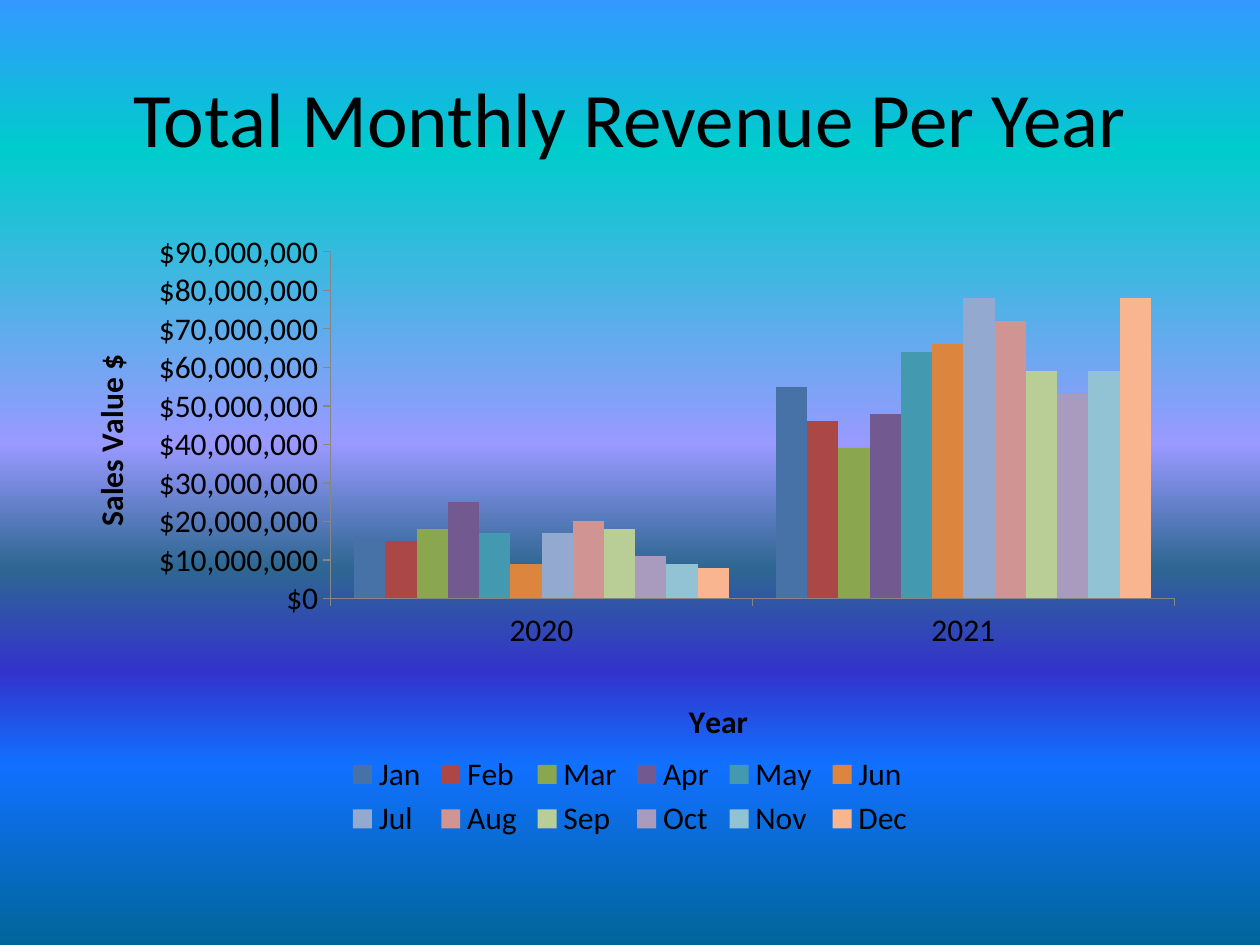
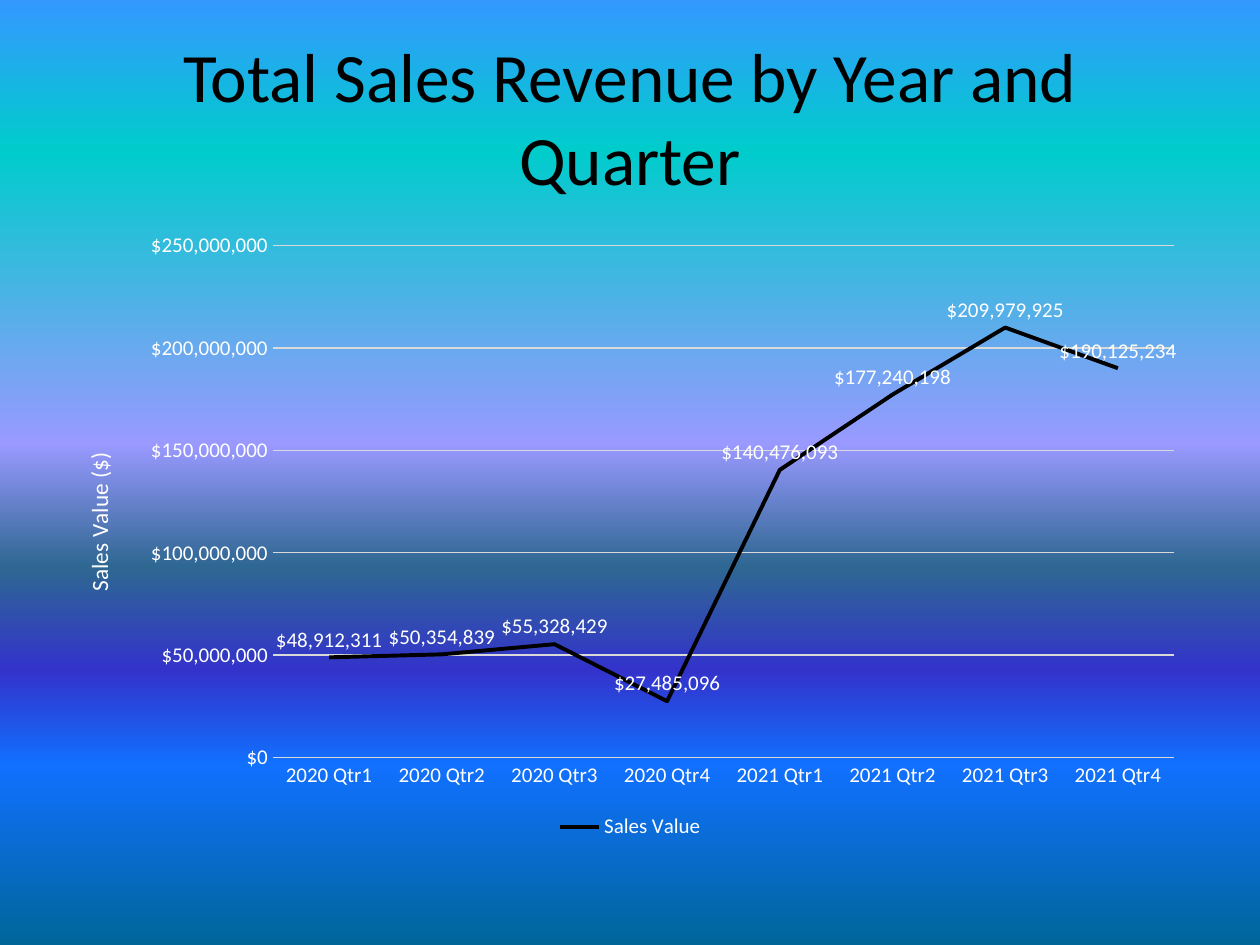
from dataclasses import dataclass

from lxml.etree import SubElement
from pptx import Presentation
from pptx.chart.axis import ValueAxis
from pptx.chart.chart import Chart
from pptx.chart.data import CategoryChartData as ChartData
from pptx.dml.color import RGBColor
from pptx.enum.chart import XL_CHART_TYPE as ChartType
from pptx.enum.chart import XL_LABEL_POSITION as LabelPosition
from pptx.enum.chart import XL_LEGEND_POSITION as LegendPosition
from pptx.enum.chart import XL_MARKER_STYLE as MarkerStyle
from pptx.enum.chart import XL_TICK_MARK as TickMark
from pptx.enum.text import MSO_ANCHOR as Anchor
from pptx.enum.text import PP_ALIGN as Align
from pptx.oxml.ns import qn
from pptx.slide import Slide
from pptx.util import Cm, Pt

FONT = "Calibri"
BLACK, WHITE = "000000", "FFFFFF"
LEFT, WIDTH = Cm(1.27), Cm(22.86)
MILLION = 1_000_000
BACKGROUND_STOPS = {0: "3399FF", 16: "00CCCC", 47: "9999FF", 60: "2E6792",
                    71: "3333CC", 81: "1170FF", 100: "006699"}


@dataclass
class Series:
    name: str
    values: tuple[int, ...]
    color: str


@dataclass
class AxisTitle:
    text: str
    x: float
    y: float
    size: float
    bold: bool = False
    vertical: bool = False


@dataclass
class ChartPage:
    title: str
    title_size: float
    kind: ChartType
    categories: list[str]
    series: list[Series]
    text_size: float
    text_color: str
    line_color: str
    tick_mark: TickMark
    number_format: str
    maximum: int
    major_unit: int
    plot_area: tuple[float, float, float, float]
    value_title: AxisTitle
    category_title: AxisTitle | None = None


MONTHS = [
    Series("Jan", (16, 55), "4672A8"),
    Series("Feb", (15, 46), "AB4744"),
    Series("Mar", (18, 39), "8AA64F"),
    Series("Apr", (25, 48), "725990"),
    Series("May", (17, 64), "4299B0"),
    Series("Jun", (9, 66), "DC853E"),
    Series("Jul", (17, 78), "93A9CF"),
    Series("Aug", (20, 72), "D09493"),
    Series("Sep", (18, 59), "B9CD96"),
    Series("Oct", (11, 53), "A99BBD"),
    Series("Nov", (9, 59), "91C3D5"),
    Series("Dec", (8, 78), "F9B590"),
]

PAGES = [
    ChartPage(
        "Total Monthly Revenue Per Year", 44, ChartType.COLUMN_CLUSTERED,
        ["2020", "2021"],
        [Series(month.name, tuple(value * MILLION for value in month.values), month.color)
         for month in MONTHS],
        18, BLACK, "868686", TickMark.OUTSIDE, '"$"#,##0', 90 * MILLION, 10 * MILLION,
        (23.6, 5, 74.4, 55.6),
        AxisTitle("Sales Value $", 1.8, 20.6, 18, bold=True, vertical=True),
        AxisTitle("Year", 54.7, 75.9, 18, bold=True),
    ),
    ChartPage(
        "Total Sales Revenue by Year and Quarter", 39.6, ChartType.LINE,
        [f"{year} Qtr{quarter}" for year in (2020, 2021) for quarter in range(1, 5)],
        [Series("Sales Value", (48912311, 50354839, 55328429, 27485096,
                                140476093, 177240198, 209979925, 190125234), BLACK)],
        12, WHITE, "D9D9D9", TickMark.NONE, "[$$-409]#,##0", 250 * MILLION, 50 * MILLION,
        (18.5, 4, 79.5, 82.1),
        AxisTitle("Sales Value ($)", 1.4, 36.4, 13.3, vertical=True),
    ),
]


def rgb(color: str) -> RGBColor:
    """Turn a hex string into a colour."""
    return RGBColor.from_string(color)


def style_font(font, size: float, color: str, bold: bool = False) -> None:
    """Set face, size, colour and weight of a font."""
    font.name, font.size, font.bold = FONT, Pt(size), bold
    font.color.rgb = rgb(color)


def style_line(line, color: str, width: float = 0.75) -> None:
    """Set colour and width of a line."""
    line.color.rgb = rgb(color)
    line.width = Pt(width)


def paint_background(presentation: Presentation) -> None:
    """Give the slide master the gradient that every slide shows."""
    master = presentation.slide_master
    fill = master.background.fill
    fill.gradient()
    fill.gradient_angle = 270
    stops = master.element.find(".//" + qn("p:bg")).find(".//" + qn("a:gsLst"))
    for stop in list(stops):
        stops.remove(stop)
    for position, color in BACKGROUND_STOPS.items():
        stop = SubElement(stops, qn("a:gs"), pos=str(position * 1000))
        SubElement(stop, qn("a:srgbClr"), val=color)


def place(element, index: int, *percents: float) -> None:
    """Fix a chart part at percentages of the chart's size."""
    for old in element.findall(qn("c:layout")):
        element.remove(old)
    layout = SubElement(element, qn("c:layout"))
    element.insert(index, layout)
    manual = SubElement(layout, qn("c:manualLayout"))
    if element.tag == qn("c:plotArea"):
        SubElement(manual, qn("c:layoutTarget"), val="inner")
    for side in "xy":
        SubElement(manual, qn(f"c:{side}Mode"), val="edge")
    for side, percent in zip("xywh", percents):
        SubElement(manual, qn(f"c:{side}"), val=f"{percent / 100:.4f}")


def add_title(slide: Slide, text: str, size: float) -> None:
    """Add the centred slide title."""
    frame = slide.shapes.add_textbox(LEFT, Cm(0.76), WIDTH, Cm(3.18)).text_frame
    frame.word_wrap = True
    frame.vertical_anchor = Anchor.MIDDLE
    paragraph = frame.paragraphs[0]
    paragraph.alignment = Align.CENTER
    run = paragraph.add_run()
    run.text = text
    style_font(run.font, size, BLACK)


def add_axis_title(axis, title: AxisTitle, color: str) -> None:
    """Write and place the title of an axis."""
    frame = axis.axis_title.text_frame
    run = frame.paragraphs[0].add_run()
    run.text = title.text
    style_font(run.font, title.size, color, title.bold)
    element = axis.axis_title.element
    if title.vertical:
        body = element.find(".//" + qn("a:bodyPr"))
        body.set("rot", "-5400000")
        body.set("vert", "horz")
    place(element, 1, title.x, title.y)


def style_value_axis(axis: ValueAxis, page: ChartPage) -> None:
    """Set scale, number format and lines of the value axis."""
    axis.minimum_scale, axis.maximum_scale = 0, page.maximum
    axis.major_unit = page.major_unit
    axis.tick_labels.number_format = page.number_format
    axis.tick_labels.number_format_is_linked = False
    axis.has_major_gridlines = page.kind == ChartType.LINE
    if axis.has_major_gridlines:
        style_line(axis.major_gridlines.format.line, page.line_color)
        axis.format.line.fill.background()


def style_series(chart: Chart, page: ChartPage) -> None:
    """Colour the series and label the points of a line."""
    plot = chart.plots[0]
    plot.vary_by_categories = False
    for series, data in zip(plot.series, page.series):
        if page.kind == ChartType.LINE:
            series.smooth = False
            series.marker.style = MarkerStyle.NONE
            style_line(series.format.line, data.color, 2.25)
            labels = series.data_labels
            labels.show_value = True
            labels.position = LabelPosition.ABOVE
            labels.number_format = page.number_format
            labels.number_format_is_linked = False
            style_font(labels.font, page.text_size, page.text_color)
        else:
            series.format.fill.solid()
            series.format.fill.fore_color.rgb = rgb(data.color)
    if page.kind == ChartType.COLUMN_CLUSTERED:
        plot.gap_width, plot.overlap = 150, 0


def add_chart(slide: Slide, page: ChartPage) -> None:
    """Add the chart of a page."""
    data = ChartData()
    data.categories = page.categories
    for series in page.series:
        data.add_series(series.name, series.values)
    chart = slide.shapes.add_chart(page.kind, LEFT, Cm(4.45), WIDTH, Cm(12.57), data).chart
    chart.has_title = False
    style_font(chart.font, page.text_size, page.text_color)
    chart.has_legend = True
    chart.legend.position = LegendPosition.BOTTOM
    chart.legend.include_in_layout = False
    style_font(chart.legend.font, page.text_size, page.text_color)
    axes = ((chart.category_axis, page.category_title), (chart.value_axis, page.value_title))
    for axis, title in axes:
        axis.major_tick_mark, axis.minor_tick_mark = page.tick_mark, TickMark.NONE
        style_font(axis.tick_labels.font, page.text_size, page.text_color)
        style_line(axis.format.line, page.line_color)
        if title:
            add_axis_title(axis, title, page.text_color)
    style_value_axis(chart.value_axis, page)
    style_series(chart, page)
    place(chart.element.find(".//" + qn("c:plotArea")), 0, *page.plot_area)


def main() -> None:
    """Build and save the presentation."""
    presentation = Presentation()
    presentation.slide_width, presentation.slide_height = Cm(25.4), Cm(19.05)
    paint_background(presentation)
    for page in PAGES:
        slide = presentation.slides.add_slide(presentation.slide_layouts[6])
        add_title(slide, page.title, page.title_size)
        add_chart(slide, page)
    presentation.save("out.pptx")


if __name__ == "__main__":
    main()
